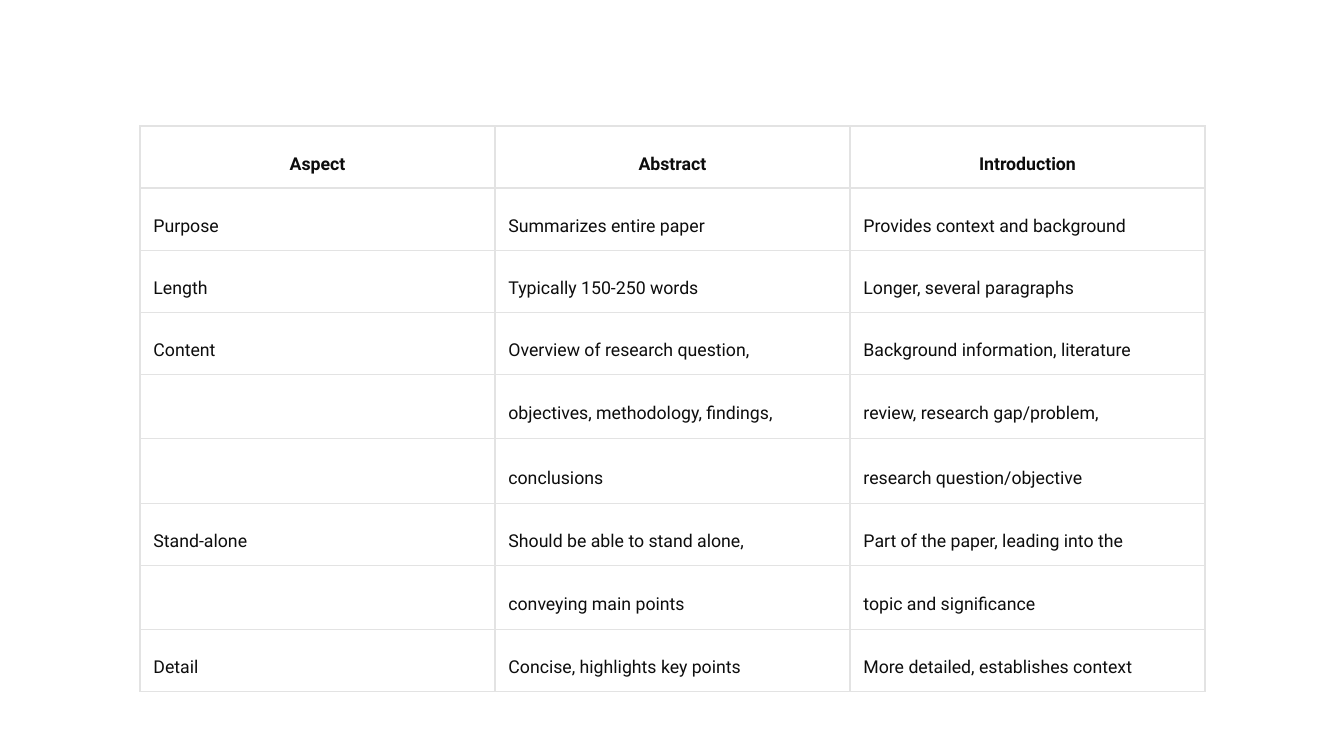
"""Build a slide with a table comparing an abstract with an introduction."""
from lxml import etree
from pptx import Presentation
from pptx import util as u
from pptx.dml.color import RGBColor
from pptx.enum import text
from pptx.oxml.ns import qn

COLORS = {"background": "FFFFFF", "text": "0D0D0D", "border": "E3E3E3"}
FONT = {"name": "Roboto", "size": u.Pt(9.5)}
ROWS = [
    ("Aspect", "Abstract", "Introduction"),
    ("Purpose", "Summarizes entire paper", "Provides context and background"),
    ("Length", "Typically 150-250 words", "Longer, several paragraphs"),
    ("Content", "Overview of research question,", "Background information, literature"),
    ("", "objectives, methodology, findings,", "review, research gap/problem,"),
    ("", "conclusions", "research question/objective"),
    ("Stand-alone", "Should be able to stand alone,", "Part of the paper, leading into the"),
    ("", "conveying main points", "topic and significance"),
    ("Detail", "Concise, highlights key points", "More detailed, establishes context"),
]
ROW_HEIGHTS = [62, 62, 62, 62, 64, 65, 62, 64, 62]
COLUMN_WIDTH = 355


def px(length):
    return u.Emu(round(length * 914400 / 134.4))


def add_borders(cell):
    properties = cell._tc.get_or_add_tcPr()
    for index, side in enumerate(("lnL", "lnR", "lnT", "lnB")):
        line = etree.Element(qn(f"a:{side}"), w=str(u.Pt(0.8)))
        fill = etree.SubElement(line, qn("a:solidFill"))
        etree.SubElement(fill, qn("a:srgbClr"), val=COLORS["border"])
        properties.insert(index, line)


presentation = Presentation()
presentation.slide_width = px(1344)
presentation.slide_height = px(756)
slide = presentation.slides.add_slide(presentation.slide_layouts[6])
slide.background.fill.solid()
slide.background.fill.fore_color.rgb = RGBColor.from_string(COLORS["background"])

table = slide.shapes.add_table(
    len(ROWS), len(ROWS[0]), px(140), px(126),
    px(COLUMN_WIDTH * len(ROWS[0])), px(sum(ROW_HEIGHTS)),
).table
table.first_row = False
table.horz_banding = False
for column in table.columns:
    column.width = px(COLUMN_WIDTH)

for row_index, (labels, height) in enumerate(zip(ROWS, ROW_HEIGHTS)):
    is_header = row_index == 0
    table.rows[row_index].height = px(height)
    for column_index, label in enumerate(labels):
        cell = table.cell(row_index, column_index)
        cell.fill.background()
        add_borders(cell)
        if not label:
            continue
        for side in ("left", "right", "top", "bottom"):
            setattr(cell, f"margin_{side}", u.Inches(0.1))
        cell.vertical_anchor = text.MSO_ANCHOR.BOTTOM if is_header else text.MSO_ANCHOR.MIDDLE
        paragraph = cell.text_frame.paragraphs[0]
        paragraph.alignment = text.PP_ALIGN.CENTER if is_header else text.PP_ALIGN.LEFT
        paragraph.line_spacing = 1.71
        run = paragraph.add_run()
        run.text = label
        for name, value in {**FONT, "bold": is_header}.items():
            setattr(run.font, name, value)
        run.font.color.rgb = RGBColor.from_string(COLORS["text"])

presentation.save("out.pptx")
